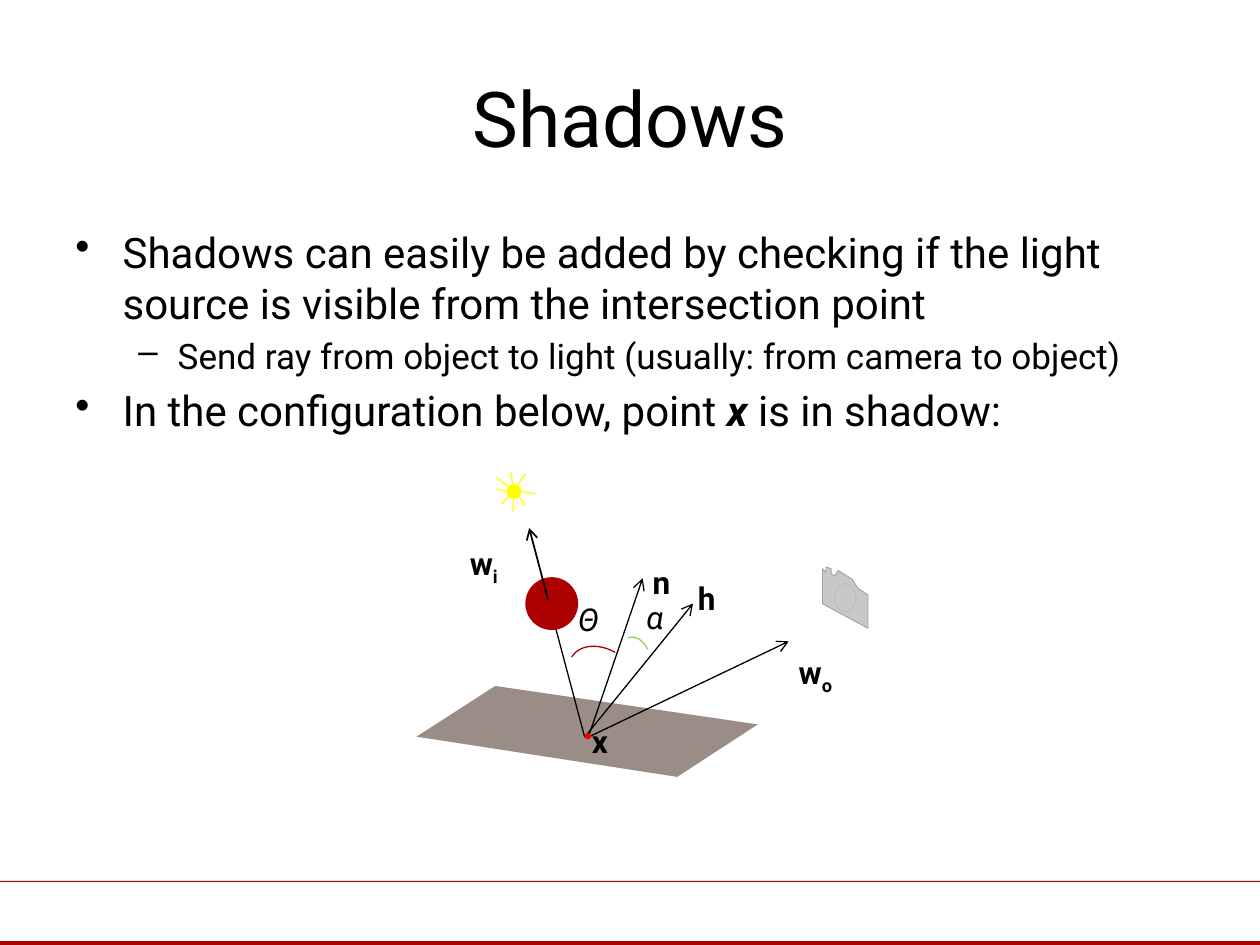
from lxml.etree import SubElement
from pptx import Presentation
from pptx.dml.color import RGBColor
from pptx.enum.shapes import MSO_CONNECTOR, MSO_SHAPE
from pptx.enum.text import MSO_ANCHOR, PP_ALIGN
from pptx.oxml.ns import qn
from pptx.util import Pt

hues = {"ink": "000000", "red": "AD0101", "dot": "FF0000", "sun": "FFFF00",
        "plane": "9A8D86", "gray": "C8C8C8", "edge": "A0A0A0", "lens": "BBBBBB",
        "theta": "AA0000", "alpha": "92D050"}
hues = {name: RGBColor.from_string(code) for name, code in hues.items()}

deck = Presentation()
deck.slide_width, deck.slide_height = Pt(720), Pt(540)
slide = deck.slides.add_slide(deck.slide_layouts[5])
shapes = slide.shapes


def style(font, size, bold=None, slant=None):
    font.name, font.size = "Roboto", Pt(size)
    font.bold, font.italic = bold, slant
    font.color.rgb = hues["ink"]


def draw(start, end, hue, width=0.75, arrow=False):
    line = shapes.add_connector(MSO_CONNECTOR.STRAIGHT, *map(Pt, start + end))
    line.line.color.rgb, line.line.width = hues[hue], Pt(width)
    props = line._element.spPr
    if arrow:
        SubElement(props.find(qn("a:ln")), qn("a:tailEnd"), type="arrow")
    SubElement(props, qn("a:effectLst"))


title = shapes.title
title.left, title.top, title.width, title.height = Pt(36), Pt(21.6), Pt(648), Pt(90)
title.text_frame.text = "Shadows"
title.text_frame.vertical_anchor = MSO_ANCHOR.MIDDLE
head = title.text_frame.paragraphs[0]
head.alignment = PP_ALIGN.CENTER
style(head.runs[0].font, 44)

body = shapes.add_textbox(Pt(36), Pt(126), Pt(648), Pt(356.4)).text_frame
body.word_wrap = True
points = [
    (0, ["Shadows can easily be added by checking if the light source is visible "
         "from the intersection point"]),
    (1, ["Send ray from object to light (usually: from camera to object)"]),
    (0, ["In the configuration below, point ", "x", " is in shadow:"]),
]
levels = [("•", 27, 27, 24), ("–", 58.5, 22.5, 20)]
for row, (level, parts) in enumerate(points):
    para = body.add_paragraph() if row else body.paragraphs[0]
    mark, left, hang, size = levels[level]
    para.level = level
    props = para._p.get_or_add_pPr()
    props.set("marL", str(Pt(left)))
    props.set("indent", str(-Pt(hang)))
    if row:
        para.space_before = Pt(size * 0.2)
    SubElement(props, qn("a:buChar"), char=mark)
    for part in parts:
        run = para.add_run()
        run.text = part
        style(run.font, size, part == "x", part == "x")

for top, height in [(503.3, 0.7), (537.8, 2.2)]:
    bar = shapes.add_shape(MSO_SHAPE.RECTANGLE, 0, Pt(top), Pt(720), Pt(height))
    bar.shadow.inherit = False
    bar.fill.solid()
    bar.fill.fore_color.rgb = hues["red"]
    bar.line.fill.background()

plane = [(237.7, 421.2), (282.9, 392), (432.6, 414.4), (387.4, 443.5)]
camera = [(470.3, 344.6), (470.3, 325.4), (472.3, 326.6), (472.3, 324.3),
          (474.9, 325.4), (474.9, 328), (477.1, 329), (479.4, 326.3),
          (487.4, 331.2), (489.7, 335.8), (496, 339.8), (496, 359.2)]
for outline, fill, edge in [(plane, "plane", None), (camera, "gray", "edge")]:
    build = shapes.build_freeform(*outline[0], scale=Pt(1))
    build.add_line_segments(outline[1:])
    form = build.convert_to_shape()
    form.shadow.inherit = False
    form.fill.solid()
    form.fill.fore_color.rgb = hues[fill]
    if edge:
        form.line.color.rgb, form.line.width = hues[edge], Pt(0.5)
    else:
        form.line.fill.background()

rays = [((295.2, 379.4), (301, 270.7 + 0)), ]
rays = [((295.2, 277.9), (300.2, 270.7)), ((290.2, 277.9), (283.7, 272.9)),
        ((295.2, 282.2), (300.2, 288.7)), ((293.8, 280.1), (286.6, 288)),
        ((293, 280.1), (292.3, 270)), ((293.8, 278.6), (293, 292.3)),
        ((293, 280.1), (306, 282.2)), ((289.4, 280.8), (283.7, 279.4))]
for start, end in rays:
    draw(start, end, "sun")

base = (336.2, 421.2)
for end in [(367.2, 330.5), (450.7, 366.5)]:
    draw(base, end, "ink", arrow=True)
draw((334.1, 421.2), (396, 344.9), "ink", arrow=True)
draw((334.1, 421.2), (313.2, 342.7), "ink")

for left, top, wide, high, fill in [
        (289.4, 276.5, 8.6, 8.6, "sun"), (334.1, 419, 3.6, 3.6, "dot"),
        (300.2, 329.8, 30.2, 30.2, "red"), (477, 333.5, 12, 16, None)]:
    disc = shapes.add_shape(MSO_SHAPE.OVAL, Pt(left), Pt(top), Pt(wide), Pt(high))
    disc.shadow.inherit = False
    if fill:
        disc.fill.solid()
        disc.fill.fore_color.rgb = hues[fill]
        disc.line.fill.background()
    else:
        disc.fill.background()
        disc.line.color.rgb, disc.line.width = hues["lens"], Pt(0.5)
draw((313.2, 342.7), (302.4, 301.7), "ink", 1, True)

for left, top, wide, high, turn, hue in [
        (324, 370.8, 40.3, 29.5, 30, "theta"),
        (352.8, 366.5, 20.9, 15.1, 65.8, "alpha")]:
    arc = shapes.add_shape(MSO_SHAPE.ARC, Pt(left), Pt(top), Pt(wide), Pt(high))
    arc.shadow.inherit = False
    arc.rotation = turn
    arc._element.spPr.find(qn("a:xfrm")).set("flipH", "1")
    arc.fill.background()
    arc.line.color.rgb, arc.line.width = hues[hue], Pt(0.75)

for text, sub, left, top, wide, bold in [
        ("n", "", 365.8, 318.2, 23.8, True), ("x", "", 331.2, 409, 23.8, True),
        ("w", "i", 261.4, 307.4, 38.9, True), ("w", "o", 449.3, 369.4, 44.6, True),
        ("h", "", 391.7, 327.6, 23.8, True), ("Θ", "", 323.3, 339.1, 28.8, False),
        ("α", "", 362.2, 338.4, 25.2, False)]:
    frame = shapes.add_textbox(Pt(left), Pt(top), Pt(wide), Pt(28.8)).text_frame
    frame.word_wrap = bold
    frame.text = text
    para = frame.paragraphs[0]
    style(para.runs[0].font, 18, bold, not bold)
    if sub:
        run = para.add_run()
        run.text = sub
        style(run.font, 18, bold)
        run._r.get_or_add_rPr().set("baseline", "-25000")

deck.save("out.pptx")
